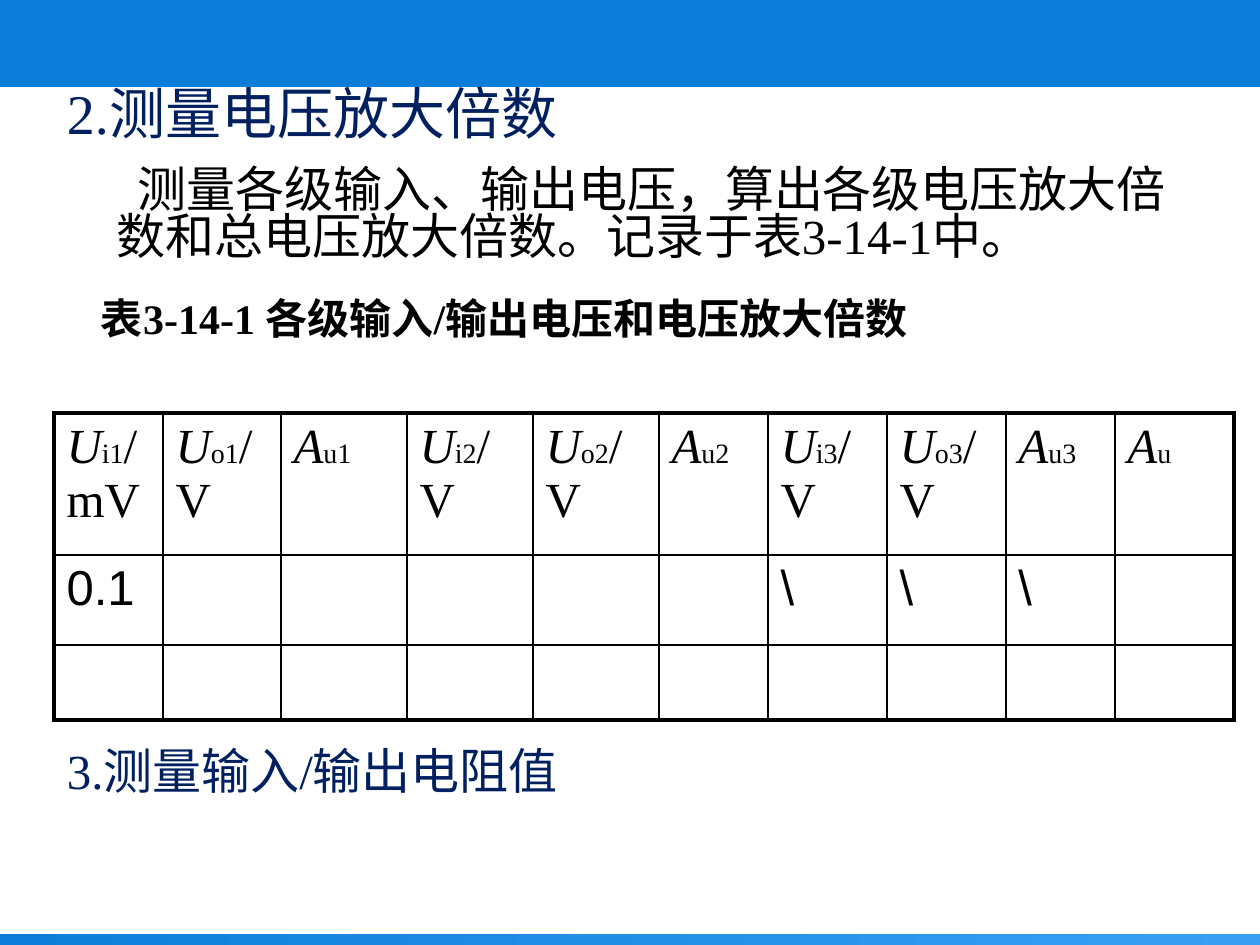
from dataclasses import dataclass

from lxml.etree import SubElement
from pptx import Presentation
from pptx.dml.color import RGBColor
from pptx.enum.shapes import MSO_SHAPE
from pptx.oxml.ns import qn
from pptx.util import Pt

SCALE = 914400 / 126


def px(num):
    return round(num * SCALE)


@dataclass(frozen=True)
class Theme:
    blue: str = "0C7ED9"
    sky: str = "389FF4"
    navy: str = "002060"
    black: str = "000000"
    serif: str = "Times New Roman"
    sans: str = "Arial"
    head: int = 32
    body: int = 28
    note: int = 24
    sub: int = 16
    thin: float = 1
    thick: float = 2.25


class Deck:
    """Holds the theme and the current slide, and draws each kind of element."""

    def __init__(self, theme):
        self.theme = theme
        self.file = Presentation()
        self.file.slide_width = px(1260)
        self.file.slide_height = px(945)
        self.slide = self.file.slides.add_slide(self.file.slide_layouts[6])

    def bar(self, top, high, start, end=None):
        shape = self.slide.shapes.add_shape(
            MSO_SHAPE.RECTANGLE, 0, px(top), px(1260), px(high))
        shape.shadow.inherit = False
        shape.line.fill.background()
        if end is None:
            shape.fill.solid()
            shape.fill.fore_color.rgb = RGBColor.from_string(start)
            return
        shape.fill.gradient()
        shape.fill.gradient_angle = 0
        for stop, color in zip(shape.fill.gradient_stops, (start, end)):
            stop.color.rgb = RGBColor.from_string(color)

    def font(self, font, size, color, name=None, bold=False):
        font.size = Pt(size)
        font.name = name or self.theme.serif
        font.bold = bold
        font.color.rgb = RGBColor.from_string(color)

    def text(self, words, spot, size, color, bold=False, indent=0):
        frame = self.slide.shapes.add_textbox(*map(px, spot)).text_frame
        frame.word_wrap = True
        frame.margin_left = frame.margin_right = 0
        frame.margin_top = frame.margin_bottom = 0
        para = frame.paragraphs[0]
        para.text = words
        para.line_spacing = 0.8
        self.font(para.font, size, color, bold=bold)
        if indent:
            para._p.get_or_add_pPr().set("indent", str(px(indent)))

    def edge(self, cell, side, width):
        line = SubElement(cell._tc.get_or_add_tcPr(), qn(f"a:ln{side}"),
                          w=str(Pt(width)))
        fill = SubElement(line, qn("a:solidFill"))
        SubElement(fill, qn("a:srgbClr"), val=self.theme.black)

    def label(self, cell, parts):
        style = self.theme
        para = cell.text_frame.paragraphs[0]
        looks = ((style.body, True), (style.sub, False), (style.body, False))
        for words, (size, slant) in zip(parts, looks):
            if words:
                run = para.add_run()
                run.text = words
                self.font(run.font, size, style.black)
                run.font.italic = slant

    def value(self, cell, words):
        cell.text = words
        self.font(cell.text_frame.paragraphs[0].font, self.theme.body,
                  self.theme.black, self.theme.sans)

    def grid(self, left, top, cols, rows, heads, values):
        style = self.theme
        table = self.slide.shapes.add_table(
            len(rows), len(cols), px(left), px(top),
            px(sum(cols)), px(sum(rows))).table
        table.first_row = table.horz_banding = False
        for col, wide in zip(table.columns, cols):
            col.width = px(wide)
        for row, high in zip(table.rows, rows):
            row.height = px(high)
        for y in range(len(rows)):
            for x in range(len(cols)):
                cell = table.cell(y, x)
                outer = {"L": x == 0, "R": x == len(cols) - 1,
                         "T": y == 0, "B": y == len(rows) - 1}
                for side, rim in outer.items():
                    self.edge(cell, side, style.thick if rim else style.thin)
                cell.fill.background()
        for x, parts in enumerate(heads):
            self.label(table.cell(0, x), parts)
        for x, words in values.items():
            self.value(table.cell(1, x), words)


def main():
    theme = Theme()
    deck = Deck(theme)
    deck.bar(934, 11, theme.blue, theme.sky)
    deck.bar(0, 87, theme.blue)
    deck.text("2.测量电压放大倍数", (67, 92, 1121, 50), theme.head, theme.navy)
    deck.text("测量各级输入、输出电压，算出各级电压放大倍数和总电压放大倍数。"
              "记录于表3-14-1中。", (117, 170, 1071, 100),
              theme.body, theme.black, indent=21)
    deck.text("表3-14-1 各级输入/输出电压和电压放大倍数", (101, 302, 1087, 45),
              theme.note, theme.black, bold=True)

    heads = []
    for stage in "123":
        unit = "/mV" if stage == "1" else "/V"
        heads += [("U", "i" + stage, unit), ("U", "o" + stage, "/V"),
                  ("A", "u" + stage, "")]
    heads.append(("A", "u", ""))
    cols = (109, 118, 126, 126, 126, 109, 119, 119, 109, 119)
    values = {0: "0.1", 6: "\\", 7: "\\", 8: "\\"}
    deck.grid(54, 413, cols, (142, 90, 75), heads, values)

    deck.text("3.测量输入/输出电阻值", (67, 752, 1121, 50),
              theme.body, theme.navy)
    deck.file.save("out.pptx")


if __name__ == "__main__":
    main()
